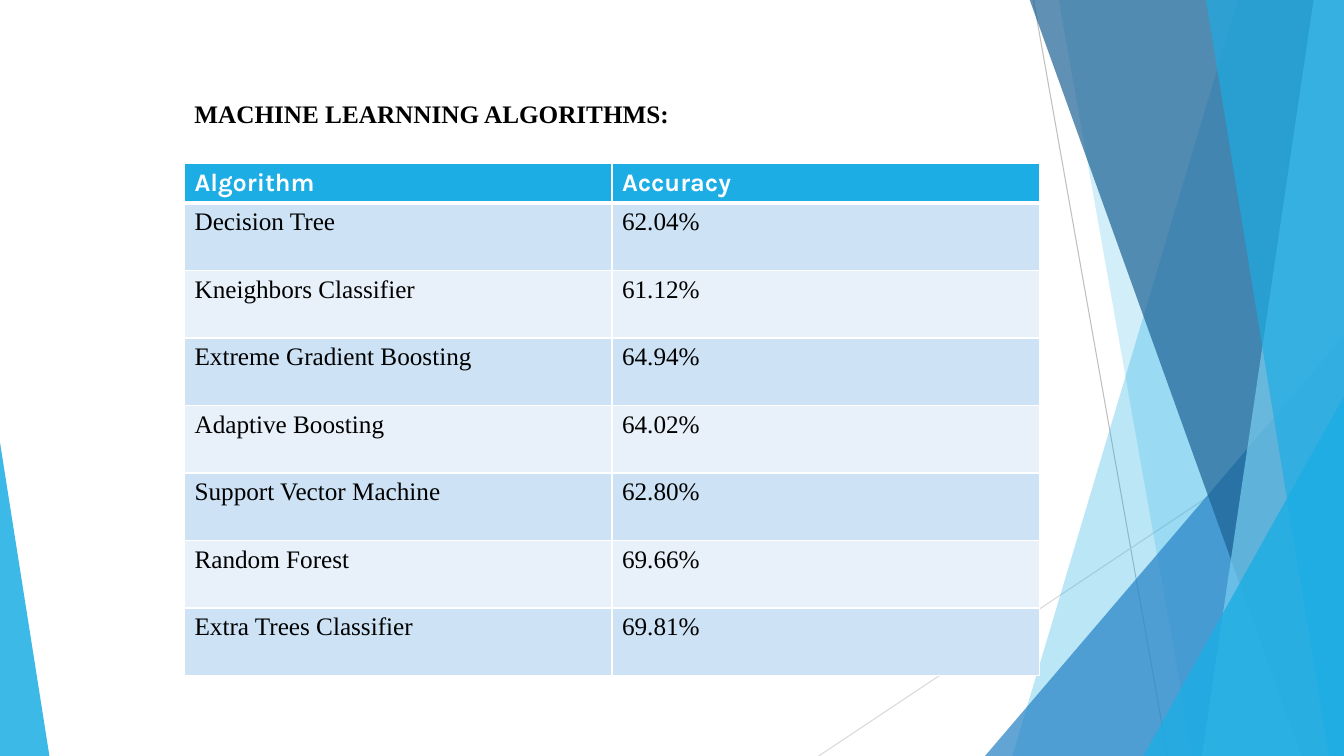
from dataclasses import dataclass

from lxml.etree import SubElement
from pptx import Presentation
from pptx.dml.color import RGBColor
from pptx.enum.shapes import MSO_CONNECTOR as CONNECTOR, MSO_SHAPE as SHAPE
from pptx.oxml.ns import qn
from pptx.util import Inches, Pt

TITLE = "MACHINE LEARNNING ALGORITHMS:"
HEADER = ("Algorithm", "Accuracy")
RESULTS = [
    ("Decision Tree", "62.04%"),
    ("Kneighbors Classifier", "61.12%"),
    ("Extreme Gradient Boosting", "64.94%"),
    ("Adaptive Boosting", "64.02%"),
    ("Support Vector Machine", "62.80%"),
    ("Random Forest", "69.66%"),
    ("Extra Trees Classifier", "69.81%"),
]


@dataclass(frozen=True)
class Theme:
    accent: str = "1CADE4"
    blue: str = "2683C6"
    navy: str = "1D6294"
    sky: str = "77CEEF"
    white: str = "FFFFFF"
    black: str = "000000"
    bands: tuple = ("CDE3F5", "E8F1FA")
    head_font: str = "Karla"
    body_font: str = "Times New Roman"
    size: float = 18


T = Theme()
W, H = 13.33, 7.5
BLEED = 0.01
LEFT, TABLE_TOP, COL_W = 1.83, 1.62, 4.24
HEAD_H, ROW_H = 0.39, 0.67

LINES = [
    ((10.25, 0), (11.58, H), "BFBFBF"),
    ((W, 4.03), (8.12, H), "D9D9D9"),
]
FACETS = [
    ("ribbon", 12.28, 10.04, T.accent, 30),
    ("ribbon", 10.5, 11.83, T.accent, 20),
    ("right", 3.56, 4.17, T.blue, 72),
    ("ribbon", 10.21, 12.91, T.navy, 70),
    ("ribbon", 13.03, 11.92, T.sky, 70),
    ("ribbon", 11.96, 13.18, T.accent, 65),
    ("right", 1.99, 3.57, T.accent, 80),
    ("left", 0.49, 3.11, T.accent, 85),
]


def rgb(color):
    return RGBColor.from_string(color)


def add_ribbon(shapes, top_x, bottom_x):
    points = [(top_x, -BLEED), (W, -BLEED), (W, H), (bottom_x, H)]
    points = [(Inches(x), Inches(y)) for x, y in points]
    builder = shapes.build_freeform(*points[0], scale=1)
    builder.add_line_segments(points[1:], close=True)
    return builder.convert_to_shape()


def add_corner(shapes, side, width, height):
    left = W - width if side == "right" else 0
    sp = shapes.add_shape(SHAPE.ISOSCELES_TRIANGLE, Inches(left),
                          Inches(H - height), Inches(width), Inches(height))
    sp.adjustments[0] = 1 if side == "right" else 0
    return sp


def add_facet(shapes, kind, a, b, color, opacity):
    sp = add_ribbon(shapes, a, b) if kind == "ribbon" else add_corner(shapes, kind, a, b)
    sp.shadow.inherit = False
    sp.line.fill.background()
    sp.fill.solid()
    sp.fill.fore_color.rgb = rgb(color)
    clr = sp.fill._xPr.find(qn("a:solidFill"))[0]
    SubElement(clr, qn("a:alpha"), val=str(opacity * 1000))


def add_line(shapes, start, end, color):
    ends = [Inches(v) for v in start + end]
    line = shapes.add_connector(CONNECTOR.STRAIGHT, *ends)
    line.line.color.rgb = rgb(color)
    line.line.width = Pt(0.75)
    SubElement(line._element.spPr, qn("a:effectLst"))


def write(tf, text, font, color, bold):
    p = tf.paragraphs[0]
    p.text = text
    r = p.runs[0]
    r.font.name, r.font.size, r.font.bold = font, Pt(T.size), bold
    r.font.color.rgb = rgb(color)


def add_borders(cell, bottom):
    tcPr = cell._tc.get_or_add_tcPr()
    for i, (side, pts) in enumerate((("L", 1), ("R", 1), ("T", 1), ("B", bottom))):
        ln = SubElement(tcPr, qn(f"a:ln{side}"), w=str(Pt(pts)))
        fill = SubElement(ln, qn("a:solidFill"))
        SubElement(fill, qn("a:srgbClr"), val=T.white)
        tcPr.insert(i, ln)


def add_results(shapes):
    rows = [HEADER] + RESULTS
    height = HEAD_H + ROW_H * len(RESULTS)
    table = shapes.add_table(len(rows), len(HEADER), Inches(LEFT), Inches(TABLE_TOP),
                             Inches(COL_W * len(HEADER)), Inches(height)).table
    for i, row in enumerate(rows):
        head = i == 0
        table.rows[i].height = Inches(HEAD_H if head else ROW_H)
        for j, text in enumerate(row):
            cell = table.cell(i, j)
            cell.fill.solid()
            cell.fill.fore_color.rgb = rgb(T.accent if head else T.bands[(i - 1) % 2])
            write(cell.text_frame, text, T.head_font if head else T.body_font,
                  T.white if head else T.black, head)
            add_borders(cell, 3 if head else 1)


def main():
    prs = Presentation()
    prs.slide_width, prs.slide_height = Inches(W), Inches(H)
    shapes = prs.slides.add_slide(prs.slide_layouts[6]).shapes
    for line in LINES:
        add_line(shapes, *line)
    for facet in FACETS:
        add_facet(shapes, *facet)
    add_results(shapes)
    tf = shapes.add_textbox(Inches(LEFT), Inches(0.93), Inches(7.91), Inches(0.4)).text_frame
    tf.word_wrap = True
    write(tf, TITLE, T.body_font, T.black, True)
    prs.save("out.pptx")


if __name__ == "__main__":
    main()
